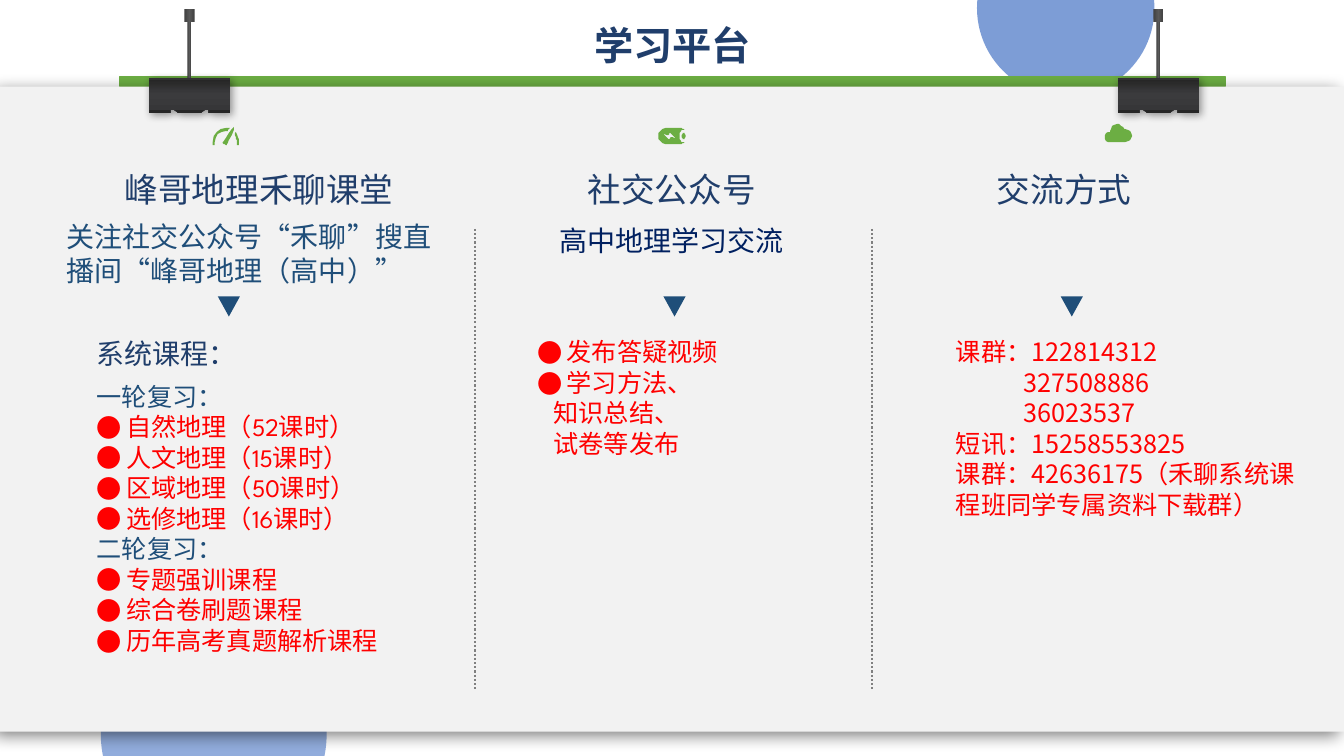
from lxml.etree import SubElement
from pptx import Presentation
from pptx.dml.color import RGBColor
from pptx.enum.dml import MSO_LINE
from pptx.enum.shapes import MSO_CONNECTOR, MSO_SHAPE
from pptx.enum.text import MSO_ANCHOR, MSO_AUTO_SIZE, PP_ALIGN
from pptx.oxml.ns import qn
from pptx.util import Inches, Pt

SANS, SPARTAN = "Noto Sans CJK SC", "League Spartan"
NAVY, STEEL, RED, GREEN, BLUE = "203E6B", "1F4E79", "FF0000", "6CAE43", "4472C4"
METAL = [(0, "404040"), (50, "595959"), (100, "404040")]
CLIP = [(7, "313132"), (7, "262626"), (46, "3B3B3D"), (93, "363638"), (93, "262626")]

# Icon contours in hundredths of an inch: a start point, then cubic curves
GAUGE = [
    "11 14 10 15 10 17 12 17 13 18 14 18 15 16 16 15 22 1 21 0 21 0 11 12 11 14",
    "13 4 14 4 14 4 15 4 15 3 16 2 17 1 15 1 14 1 13 1 6 1 0 7 0 15 0 16 0 16 0 17 "
    "0 17 0 18 1 18 2 18 2 18 2 16 2 16 2 16 2 15 2 9 7 4 13 4",
    "23 5 22 6 22 7 22 8 23 10 24 13 24 15 24 16 24 16 24 16 24 17 24 18 25 18 "
    "26 18 26 18 26 17 26 16 26 16 26 15 26 11 25 8 23 5"]
BATTERY = [
    "21 8 21 4 23 2 24 2 24 2 26 2 26 2 25 1 24 0 21 0 7 0 7 0 7 0 2 0 0 5 0 8 "
    "0 11 2 16 7 16 21 16 21 16 21 16 24 16 25 15 26 14 26 14 25 14 24 14 "
    "23 14 21 12 21 8",
    "17 10 17 11 16 10 16 10 12 9 12 9 12 9 12 9 12 10 12 10 11 11 11 12 10 11 "
    "9 10 5 6 5 6 5 5 6 6 6 6 10 7 10 7 10 7 10 7 10 7 11 6 11 5 11 5 12 5 "
    "13 6 17 10 17 10",
    "25 5 24 5 23 6 23 8 23 10 24 11 25 11 26 11 27 10 27 8 27 6 26 5 25 5"]
CLOUD = [
    "20 5 20 5 19 5 19 5 18 3 15 0 12 0 8 0 5 4 5 7 5 8 5 8 5 8 2 8 0 10 0 13 "
    "0 16 2 18 5 18 20 18 20 18 20 18 24 18 27 15 27 12 27 8 24 5 20 5"]


def rgb(code):
    return RGBColor.from_string(code)


def add(node, tag, **attrs):
    return SubElement(node, qn(tag), {k: str(v) for k, v in attrs.items()})


def paint(shape, fill, alpha=None, line=None, angle=0, shade=None):
    props = shape.element.spPr
    if isinstance(fill, list):
        shape.fill.gradient()
        shape.fill.gradient_angle = (360 - angle) % 360
        stops = props.find(".//" + qn("a:gsLst"))
        for old in list(stops):
            stops.remove(old)
        for pos, code in fill:
            add(add(stops, "a:gs", pos=pos * 1000), "a:srgbClr", val=code)
    else:
        shape.fill.solid()
        shape.fill.fore_color.rgb = rgb(fill)
        if alpha:
            add(props.find(".//" + qn("a:srgbClr")), "a:alpha", val=alpha * 1000)
    if line:
        shape.line.color.rgb = rgb(line)
        shape.line.width = Pt(1)
    else:
        shape.line.fill.background()
    shape.shadow.inherit = False
    if shade:
        depth, blur, dist, way = shade
        outer = add(props.find(qn("a:effectLst")), "a:outerShdw", blurRad=Pt(blur),
                    dist=Pt(dist), dir=way * 60000, algn="ctr", rotWithShape=0)
        add(add(outer, "a:srgbClr", val="000000"), "a:alpha", val=depth * 1000)


def block(shapes, kind, x, y, w, h, fill, **style):
    shape = shapes.add_shape(kind, Inches(x), Inches(y), Inches(w), Inches(h))
    paint(shape, fill, **style)
    return shape


def outline(shapes, x, y, paths, fill, **style):
    pen = None
    for first, *rest in paths:
        if pen is None:
            pen = shapes.build_freeform(*first, scale=Inches(0.01))
        else:
            pen.move_to(*first)
        pen.add_line_segments(rest, close=True)
    paint(pen.convert_to_shape(Inches(x), Inches(y)), fill, **style)


def flatten(path, steps=4):
    nums = [int(n) for n in path.split()]
    knots = list(zip(nums[::2], nums[1::2]))
    points = knots[:1]
    for i in range(0, len(knots) - 3, 3):
        for t in (n / steps for n in range(1, steps + 1)):
            mix = ((1 - t) ** 3, 3 * t * (1 - t) ** 2, 3 * t * t * (1 - t), t ** 3)
            points.append(tuple(sum(m * k[d] for m, k in zip(mix, knots[i:i + 4]))
                                for d in (0, 1)))
    return points


def text(slide, x, y, w, h, items, size=18, color=RED, font=SANS, bold=False,
         align=PP_ALIGN.LEFT, holder=None):
    """Items are strings or (text, format) pairs with dot, indent and color."""
    if holder is None:
        box = slide.shapes.add_textbox(0, 0, 0, 0)
    else:
        box = slide.placeholders[holder]
        box.element.getparent().append(box.element)
    box.left, box.top, box.width, box.height = map(Inches, (x, y, w, h))
    frame = box.text_frame
    frame.word_wrap = True
    frame.auto_size = MSO_AUTO_SIZE.NONE
    frame.vertical_anchor = MSO_ANCHOR.TOP
    frame.margin_left = frame.margin_right = Inches(0.1)
    frame.margin_top = Inches(0.05 + 0.1 * size / 72)
    frame.margin_bottom = 0
    for n, item in enumerate(items):
        words, form = (item, {}) if isinstance(item, str) else item
        para = frame.paragraphs[0] if n == 0 else frame.add_paragraph()
        para.alignment = align
        para.line_spacing = Pt(round(size * 1.21, 1))
        para.space_before = para.space_after = Pt(0)
        dot, indent = form.get("dot"), form.get("indent", 0)
        props = para._p.get_or_add_pPr()
        props.set("marL", str(Inches(0.29 if dot else indent)))
        props.set("indent", str(Inches(-0.29 if dot else 0)))
        if dot:
            add(props, "a:buFont", typeface=SANS)
            add(props, "a:buChar", char="●")
        else:
            add(props, "a:buNone")
        run = para.add_run()
        run.text = words
        run.font.size, run.font.bold, run.font.name = Pt(size), bold, font
        run.font.color.rgb = rgb(form.get("color", color))
        add(run._r.get_or_add_rPr(), "a:ea", typeface=SANS)


def dots(*lines):
    return [(line, {"dot": True}) for line in lines]


def pin(slide, x, y):
    shapes = slide.shapes.add_group_shape().shapes
    block(shapes, MSO_SHAPE.RECTANGLE, x + 0.38, y + 0.09, 0.04, 0.64, METAL)
    block(shapes, MSO_SHAPE.RECTANGLE, x + 0.35, y, 0.1, 0.13, METAL)
    clip = [(0, 0), (80, 0), (80, 35), (59, 35), (59, 32), (55, 32), (51, 35),
            (29, 35), (25, 32), (21, 32), (21, 35), (0, 35)]
    outline(shapes, x, y + 0.68, [clip], CLIP, angle=90, shade=(40, 6, 2, 45))


def board(slide, x, y, w, h):
    shapes = slide.shapes
    block(shapes, MSO_SHAPE.OVAL, x + 9.69, y - 1.66, 1.76, 1.76, BLUE, alpha=69)
    block(shapes, MSO_SHAPE.OVAL, x + 1, y + 5.3, 2.24, 2.24, BLUE, alpha=59)
    block(shapes, MSO_SHAPE.RECTANGLE, x + 1.19, y - 0.1, 10.96, 0.1, GREEN, line=GREEN)
    block(shapes, MSO_SHAPE.RECTANGLE, x, y, w, h, "F2F2F2", shade=(50, 12, 5, 135))
    for left in (1.48, 11.09):
        pin(slide, x + left, y - 0.77)
    # Dotted dividers
    for left in (4.71, 8.65):
        rule = shapes.add_connector(MSO_CONNECTOR.STRAIGHT, Inches(x + left),
                                    Inches(y + 1.41), Inches(x + left), Inches(y + 5.98))
        rule.line.color.rgb = rgb("808080")
        rule.line.width = Pt(1.5)
        rule.line.dash_style = MSO_LINE.ROUND_DOT
        add(rule.element.spPr, "a:effectLst")


def column(slide, x, y, icon, mark, head, arrow, body):
    """Each part's first value is its offset from the column's left edge."""
    outline(slide.shapes, x + mark[0], y + mark[1], [flatten(p) for p in icon], GREEN)
    dx, w, words, align = head
    text(slide, x + dx, y + 0.36, w, 0.5, [words], size=24, color=NAVY, align=align)
    tip = block(slide.shapes, MSO_SHAPE.ISOSCELES_TRIANGLE, x + arrow, y + 1.71,
                0.22, 0.2, STEEL)
    tip.rotation = 180
    dx, dy, w, h, holder, items, font = body
    text(slide, x + dx, y + dy, w, h, items, holder=holder, font=font)


def main():
    deck = Presentation()
    deck.slide_width, deck.slide_height = Inches(13.33), Inches(7.5)
    slide = deck.slides.add_slide(deck.slide_layouts[4])
    board(slide, 0, 0.86, 13.33, 6.4)
    text(slide, 5.79, 0.12, 1.76, 0.57, ["学习平台"], size=28, color=NAVY, bold=True,
         align=PP_ALIGN.CENTER, holder=0)

    # Courses
    left, mid, right, top = 0.56, 5.23, 9.38, 1.23
    plan = [("一轮复习：", {"color": STEEL}),
            *dots("自然地理（52课时）", "人文地理（15课时）", "区域地理（50课时）",
                  "选修地理（16课时）"),
            ("二轮复习：", {"color": STEEL}),
            *dots("专题强训课程", "综合卷刷题课程", "历年高考真题解析课程")]
    column(slide, left, top, GAUGE, (1.55, 0.03),
           (0.53, 2.96, "峰哥地理禾聊课堂", PP_ALIGN.CENTER), 1.6,
           (0.3, 2.47, 4.04, 2.83, 2, plan, SPARTAN))
    text(slide, left, top + 0.87, 4.04, 0.77,
         ["关注社交公众号“禾聊”搜直播间“峰哥地理（高中）”"],
         size=20, color=STEEL, holder=1)
    text(slide, left + 0.3, top + 2.03, 2.91, 0.44, ["系统课程："], size=20, color=NAVY)

    # Public account
    posts = [*dots("发布答疑视频", "学习方法、"),
             ("知识总结、", {"indent": 0.16}), ("试卷等发布", {"indent": 0.16})]
    column(slide, mid, top, BATTERY, (1.3, 0.04),
           (0.5, 2.1, "社交公众号", PP_ALIGN.LEFT), 1.35,
           (0, 2.03, 3.2, 1.31, 4, posts, SANS))
    text(slide, mid + 0.22, top + 0.91, 2.92, 0.44, ["高中地理学习交流"],
         size=20, color="002060", font=SPARTAN)

    # Contacts
    ways = ["课群：122814312", ("327508886", {"indent": 0.67}),
            ("36023537", {"indent": 0.67}), "短讯：15258553825",
            "课群：42636175（禾聊系统课程班同学专属资料下载群）"]
    column(slide, right, top, CLOUD, (1.58, 0),
           (0.41, 2.1, "交流方式", PP_ALIGN.LEFT), 1.14,
           (0, 2.03, 3.75, 1.92, 3, ways, SANS))
    deck.save("out.pptx")


if __name__ == "__main__":
    main()
